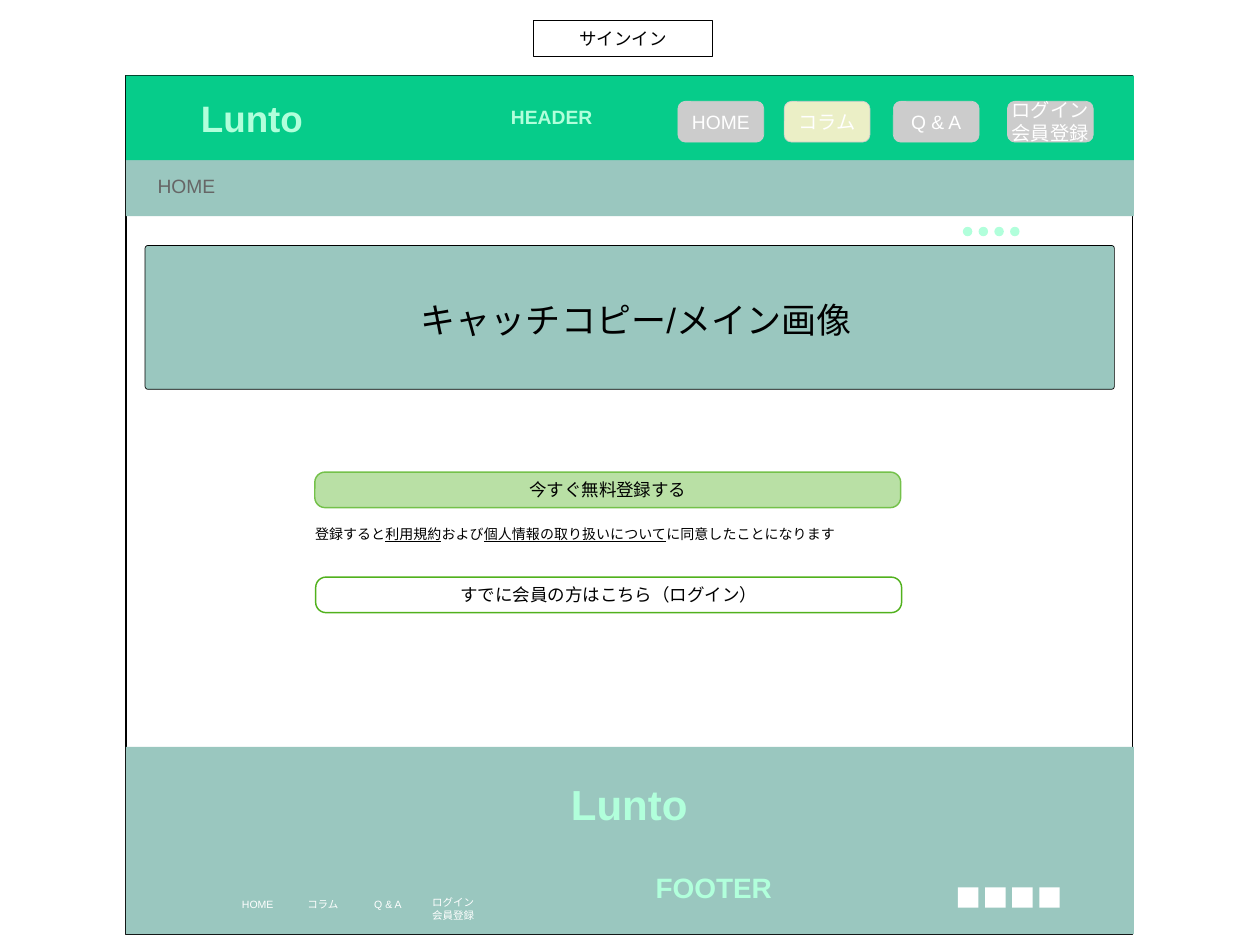
from pptx import Presentation, util as u
from pptx.dml.color import RGBColor
from pptx.enum import shapes, text
from pptx.oxml.ns import qn
from lxml import etree

WHITE = RGBColor(0xFF, 0xFF, 0xFF)
BLACK = RGBColor(0x00, 0x00, 0x00)
GRAY = RGBColor(0x66, 0x66, 0x66)
BUTTON_GRAY = RGBColor(0xCC, 0xCC, 0xCC)
CREAM = RGBColor(0xFF, 0xF2, 0xCC)
GREEN = RGBColor(0x06, 0xCC, 0x8A)
SAGE = RGBColor(0x9A, 0xC7, 0xBF)
MINT = RGBColor(0xB1, 0xFF, 0xDB)
LIGHT_GREEN = RGBColor(0xB9, 0xE0, 0xA5)
LEAF = RGBColor(0x74, 0xC1, 0x4A)
DARK_LEAF = RGBColor(0x51, 0xB1, 0x1D)

RECTANGLE = shapes.MSO_SHAPE.RECTANGLE
ROUNDED = shapes.MSO_SHAPE.ROUNDED_RECTANGLE
OVAL = shapes.MSO_SHAPE.OVAL
LEFT, CENTER = text.PP_ALIGN.LEFT, text.PP_ALIGN.CENTER
TOP, MIDDLE = text.MSO_ANCHOR.TOP, text.MSO_ANCHOR.MIDDLE

presentation = Presentation()
presentation.slide_width, presentation.slide_height = u.Pt(720), u.Pt(540)
slide = presentation.slides.add_slide(presentation.slide_layouts[6])


def add_box(kind, left, top, width, height, fill, line=None, weight=0.4, corner=None):
    shape = slide.shapes.add_shape(kind, u.Pt(left), u.Pt(top), u.Pt(width), u.Pt(height))
    shape.shadow.inherit = False
    shape.fill.solid()
    shape.fill.fore_color.rgb = fill
    if line is None:
        shape.line.fill.background()
    else:
        shape.line.color.rgb = line
        shape.line.width = u.Pt(weight)
    if corner is not None:
        shape.adjustments[0] = corner
    return shape


def write(content, shape=None, at=None, size=11, color=BLACK, bold=False,
          align=CENTER, anchor=MIDDLE):
    """Fill a shape, or a new text box, with lines; _marked_ words are underlined."""
    if shape is None:
        shape = slide.shapes.add_textbox(*[u.Pt(value) for value in at])
    frame = shape.text_frame
    frame.word_wrap = True
    frame.vertical_anchor = anchor
    frame.margin_left = frame.margin_right = frame.margin_top = frame.margin_bottom = 0
    for row, line in enumerate(content.split("\n")):
        paragraph = frame.add_paragraph() if row else frame.paragraphs[0]
        paragraph.alignment = align
        for part, words in enumerate(line.split("_")):
            run = paragraph.add_run()
            run.text = words
            run.font.name = "Arial"
            run.font.size = u.Pt(size)
            run.font.bold = bold
            run.font.underline = part % 2 == 1
            run.font.color.rgb = color


# Page frame and bands
add_box(RECTANGLE, 72, 43.2, 575.3, 490.7, WHITE, BLACK, 0.82)
add_box(RECTANGLE, 72, 91.5, 576, 32, SAGE)
add_box(RECTANGLE, 72, 43.2, 576, 48.3, GREEN)
add_box(RECTANGLE, 72, 426.8, 576, 107, SAGE)

# Header
write("Lunto", at=(85.7, 54.7, 116.6, 25.2), size=21, color=MINT, bold=True)
write("HEADER", at=(260.6, 60.5, 109.4, 13), color=MINT, bold=True)
write("HOME", at=(90, 99.4, 101.5, 13), color=GRAY, align=LEFT, anchor=TOP)

# Navigation: buttons in the header, small labels in the footer
navigation = [("HOME", 387.4, BUTTON_GRAY), ("コラム", 448.1, CREAM),
              ("Q & A", 510.5, BUTTON_GRAY), ("ログイン\n会員登録", 575.7, BUTTON_GRAY)]
for index, (label, left, fill) in enumerate(navigation):
    button = add_box(ROUNDED, left, 57.9, 49, 23.3, fill, BUTTON_GRAY, corner=0.18)
    write(label, shape=button, color=WHITE)
    if fill == CREAM:
        fill_color = button._element.spPr.find(qn("a:solidFill")).find(qn("a:srgbClr"))
        etree.SubElement(fill_color, qn("a:alpha"), val="92000")
    lines = label.count("\n") + 1
    write(label, at=(128.7 + 37.2 * index, 513.4 - 1.4 * (lines == 2), 37.2, 7.2 * lines),
          size=6, color=WHITE)

# Slider dots and footer icons
for index in range(4):
    add_box(OVAL, 550.2 + 9 * index, 129.6, 5.4, 5.4, MINT)
    add_box(RECTANGLE, 547.4 + 15.5 * index, 507, 11.7, 11.7, WHITE)

# Main visual
add_box(ROUNDED, 82.9, 140.3, 553.9, 82.2, SAGE, BLACK, corner=0.02)
write("キャッチコピー/メイン画像", at=(240.5, 170.6, 266.4, 24), size=20,
      align=LEFT, anchor=TOP)

# Page title
title = add_box(RECTANGLE, 304.7, 11.7, 102.5, 20.5, WHITE, BLACK)
write("サインイン", shape=title, size=10)

# Sign-up and log-in
sign_up = add_box(ROUNDED, 179.9, 269.8, 334.8, 20.3, LIGHT_GREEN, LEAF, 0.82, corner=0.29)
write("今すぐ無料登録する", shape=sign_up, size=10)
write("登録すると_利用規約_および_個人情報の取り扱いについて_に同意したことになります",
      at=(180, 300.2, 334.8, 95.8), size=8, align=LEFT, anchor=TOP)
log_in = add_box(ROUNDED, 180.4, 329.8, 334.8, 20.3, WHITE, DARK_LEAF, 0.82, corner=0.29)
write("すでに会員の方はこちら（ログイン）", shape=log_in, size=10)

# Footer
write("Lunto", at=(281.5, 445, 156.2, 28.8), size=24, color=MINT, bold=True)
write("FOOTER", at=(329.8, 497.5, 156.2, 19.4), size=16, color=MINT, bold=True)

presentation.save("out.pptx")
